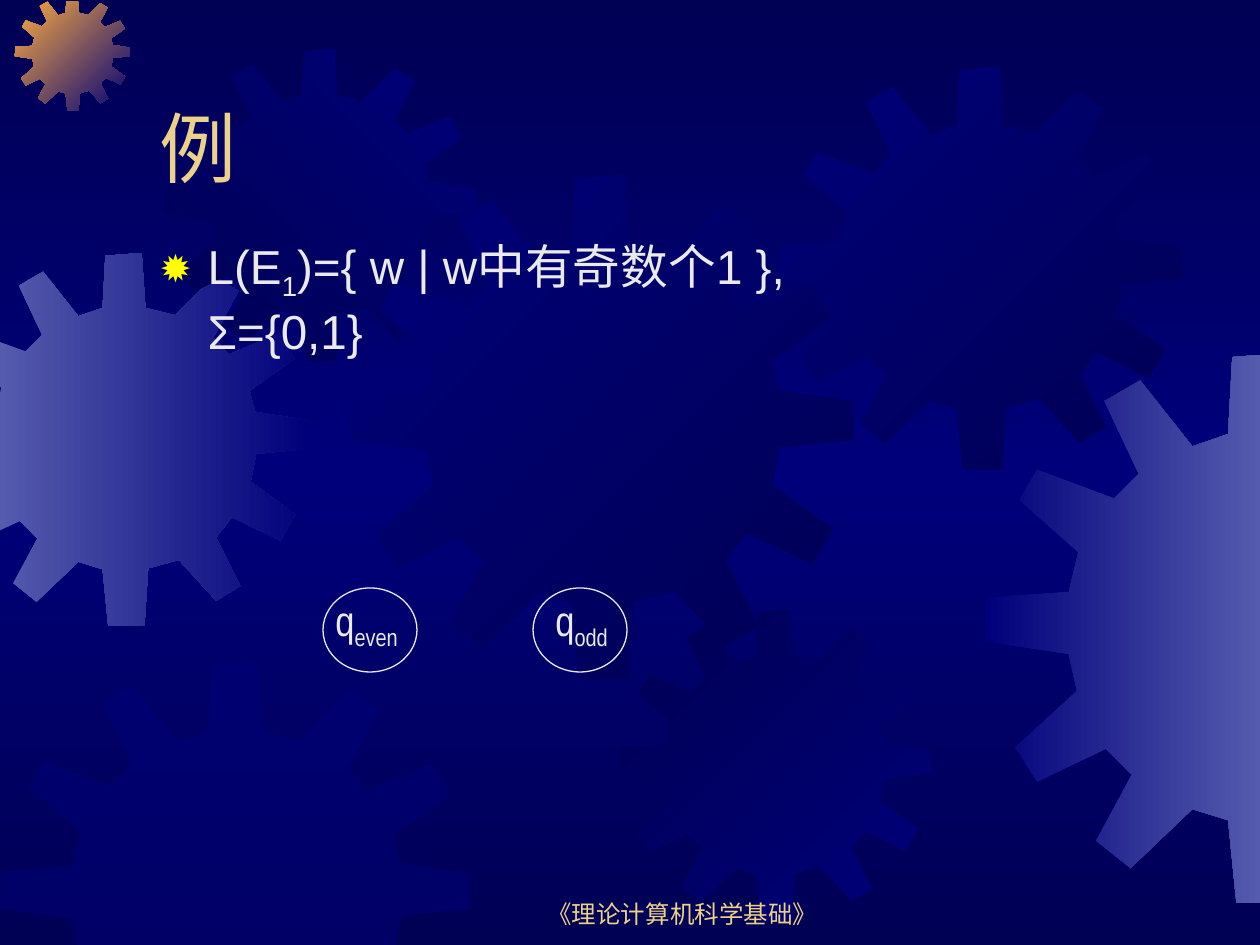
from copy import deepcopy
from dataclasses import dataclass
from typing import NamedTuple

from lxml import etree
from pptx import Presentation
from pptx.dml.color import RGBColor
from pptx.enum.shapes import MSO_SHAPE
from pptx.enum.text import MSO_ANCHOR, MSO_AUTO_SIZE, PP_ALIGN
from pptx.oxml.ns import qn
from pptx.util import Pt

OVAL = MSO_SHAPE.OVAL
TOP, LOW = MSO_ANCHOR.TOP, MSO_ANCHOR.BOTTOM
LEFT, MID = PP_ALIGN.LEFT, PP_ALIGN.CENTER
FIXED = MSO_AUTO_SIZE.NONE
SCALE = 914400 / 126


@dataclass(frozen=True)
class Theme:
    dark: str = "000054"
    navy: str = "00007A"
    steel: str = "555BAD"
    amber: str = "FCAB40"
    gold: str = "EBD189"
    pale: str = "EAEAEA"
    mark: str = "FFFF00"
    face: str = "Arial"
    slim: str = "Arial Narrow"
    head: float = 44
    body: float = 27.2
    node: float = 24
    foot: float = 14


THEME = Theme()


class Box(NamedTuple):
    left: int
    top: int
    width: int
    height: int


class Style(NamedTuple):
    size: float
    color: str
    face: str = THEME.face


class Part(NamedTuple):
    text: str
    sub: bool = False


class Gear(NamedTuple):
    left: int
    top: int
    size: int
    colors: tuple[str, ...]
    angle: int = 0


class Node(NamedTuple):
    left: int
    label: int
    name: str


UNIT = 401
TEETH = [
    (255, 67), (223, 59), (219, 0), (180, 3), (177, 59), (151, 68),
    (113, 20), (87, 35), (112, 88), (94, 106), (38, 85), (25, 107),
    (68, 145), (61, 174), (1, 178), (0, 210), (61, 219), (67, 246),
    (22, 287), (38, 312), (88, 288), (107, 307), (81, 355), (106, 375),
    (151, 332), (177, 340), (183, 400), (222, 401), (226, 339), (259, 330),
    (299, 374), (325, 358), (299, 306), (316, 284), (368, 309), (384, 281),
    (336, 246), (342, 216), (401, 210), (400, 180), (341, 171), (335, 148),
    (383, 114), (367, 87), (313, 109), (296, 91), (323, 41), (297, 25),
]
EDGES = [(0, -1, 1), (0, 1261, -1), (1, 2, 1), (1, 950, -1)]
GEARS = [
    Gear(-62, 253, 373, (THEME.steel, THEME.navy)),
    Gear(15, -4, 115, (THEME.amber, THEME.navy), 45),
    Gear(164, 49, 312, (THEME.dark, THEME.navy), 315),
    Gear(349, 175, 505, (THEME.navy, THEME.dark), 45),
    Gear(0, 662, 471, (THEME.navy,)),
    Gear(619, 610, 312, (THEME.dark, THEME.navy), 45),
    Gear(779, 67, 403, (THEME.navy, THEME.dark), 45),
    Gear(985, 353, 551, (THEME.navy, THEME.steel)),
]
NODES = [Node(323, 323, "even"), Node(533, 543, "odd")]


def px(value: float) -> int:
    return round(value * SCALE)


def rgb(color: str) -> RGBColor:
    return RGBColor.from_string(color)


def blend(fill, colors: tuple[str, ...], angle: int) -> None:
    fill.gradient()
    fill.gradient_angle = (360 - angle) % 360
    for spot, (stop, color) in enumerate(zip(fill.gradient_stops, colors)):
        stop.color.rgb = rgb(color)
        stop.position = spot


def paint_back(slide) -> None:
    fill = slide.background.fill
    blend(fill, (THEME.dark, THEME.dark), 90)
    stops = slide.element.find(".//" + qn("a:gsLst"))
    stops.insert(1, deepcopy(stops[0]))
    center = fill.gradient_stops[1]
    center.color.rgb = rgb(THEME.navy)
    center.position = 0.5


def clip(points: list, axis: int, edge: int, sign: int) -> list:
    kept = []
    for a, b in zip(points, points[1:] + points[:1]):
        start, end = (sign * (p[axis] - edge) for p in (a, b))
        if start >= 0:
            kept.append(a)
        if start * end < 0:
            part = start / (start - end)
            kept.append(tuple(p + part * (q - p) for p, q in zip(a, b)))
    return kept


def draw_gear(slide, gear: Gear) -> None:
    zoom = gear.size / UNIT
    points = [(gear.left + x * zoom, gear.top + y * zoom) for x, y in TEETH]
    for edge in EDGES:
        points = clip(points, *edge)
    points = [(px(x), px(y)) for x, y in points]
    pen = slide.shapes.build_freeform(*points[0])
    pen.add_line_segments(points[1:], close=True)
    shape = pen.convert_to_shape()
    shape.shadow.inherit = False
    shape.line.fill.background()
    if len(gear.colors) > 1:
        blend(shape.fill, gear.colors, gear.angle)
    else:
        shape.fill.solid()
        shape.fill.fore_color.rgb = rgb(gear.colors[0])
        tint = shape.element.spPr.find(".//" + qn("a:srgbClr"))
        etree.SubElement(tint, qn("a:alpha"), val="50000")


def place(shape, box: Box) -> None:
    shape.left, shape.top, shape.width, shape.height = map(px, box)


def add_mark(para) -> None:
    props = para._p.get_or_add_pPr()
    props.set("marL", str(px(48)))
    props.set("indent", str(-px(48)))
    tint = etree.SubElement(props, qn("a:buClr"))
    etree.SubElement(tint, qn("a:srgbClr"), val=THEME.mark)
    etree.SubElement(props, qn("a:buSzPct"), val="80000")
    etree.SubElement(props, qn("a:buFont"), typeface=THEME.face)
    etree.SubElement(props, qn("a:buChar"), char="✹")


def write(shape, parts: list[Part], style: Style, anchor=TOP,
          align=LEFT, mark: bool = False) -> None:
    frame = shape.text_frame
    frame.word_wrap = True
    frame.auto_size = FIXED
    frame.vertical_anchor = anchor
    para = frame.paragraphs[0]
    para.alignment = align
    para.space_before = Pt(0)
    if mark:
        add_mark(para)
    for part in parts:
        run = para.add_run()
        run.text = part.text
        run.font.name = style.face
        run.font.size = Pt(style.size)
        run.font.color.rgb = rgb(style.color)
        if part.sub:
            run._r.get_or_add_rPr().set("baseline", "-25000")


def add_text(slide, box: Box, parts: list[Part], style: Style, **kind) -> None:
    write(slide.shapes.add_textbox(*map(px, box)), parts, style, **kind)


def draw_ring(slide, node: Node) -> None:
    ring = slide.shapes.add_shape(OVAL, *map(px, Box(node.left, 588, 94, 84)))
    ring.shadow.inherit = False
    ring.fill.background()
    ring.line.color.rgb = rgb(THEME.pale)
    ring.line.width = Pt(0.75)


def main() -> None:
    deck = Presentation()
    deck.slide_width, deck.slide_height = px(1260), px(945)
    slide = deck.slides.add_slide(deck.slide_layouts[1])
    paint_back(slide)
    for gear in GEARS:
        draw_gear(slide, gear)
    add_text(slide, Box(483, 872, 399, 63), [Part("《理论计算机科学基础》")],
             Style(THEME.foot, THEME.gold), anchor=LOW, align=MID)

    title, body = slide.placeholders
    for holder in (title, body):
        slide.shapes.element.append(holder.element)
    place(title, Box(147, 42, 1071, 157))
    write(title, [Part("例")], Style(THEME.head, THEME.gold), anchor=LOW)
    place(body, Box(147, 231, 771, 136))
    write(body, [Part("L(E"), Part("1", True),
                 Part(")={ w | w中有奇数个1 }, Σ={0,1}")],
          Style(THEME.body, THEME.pale), mark=True)

    for node in NODES:
        draw_ring(slide, node)
    for node in NODES:
        add_text(slide, Box(node.label, 588, 94, 71),
                 [Part("q"), Part(node.name, True)],
                 Style(THEME.node, THEME.pale, THEME.slim))
    deck.save("out.pptx")


if __name__ == "__main__":
    main()
